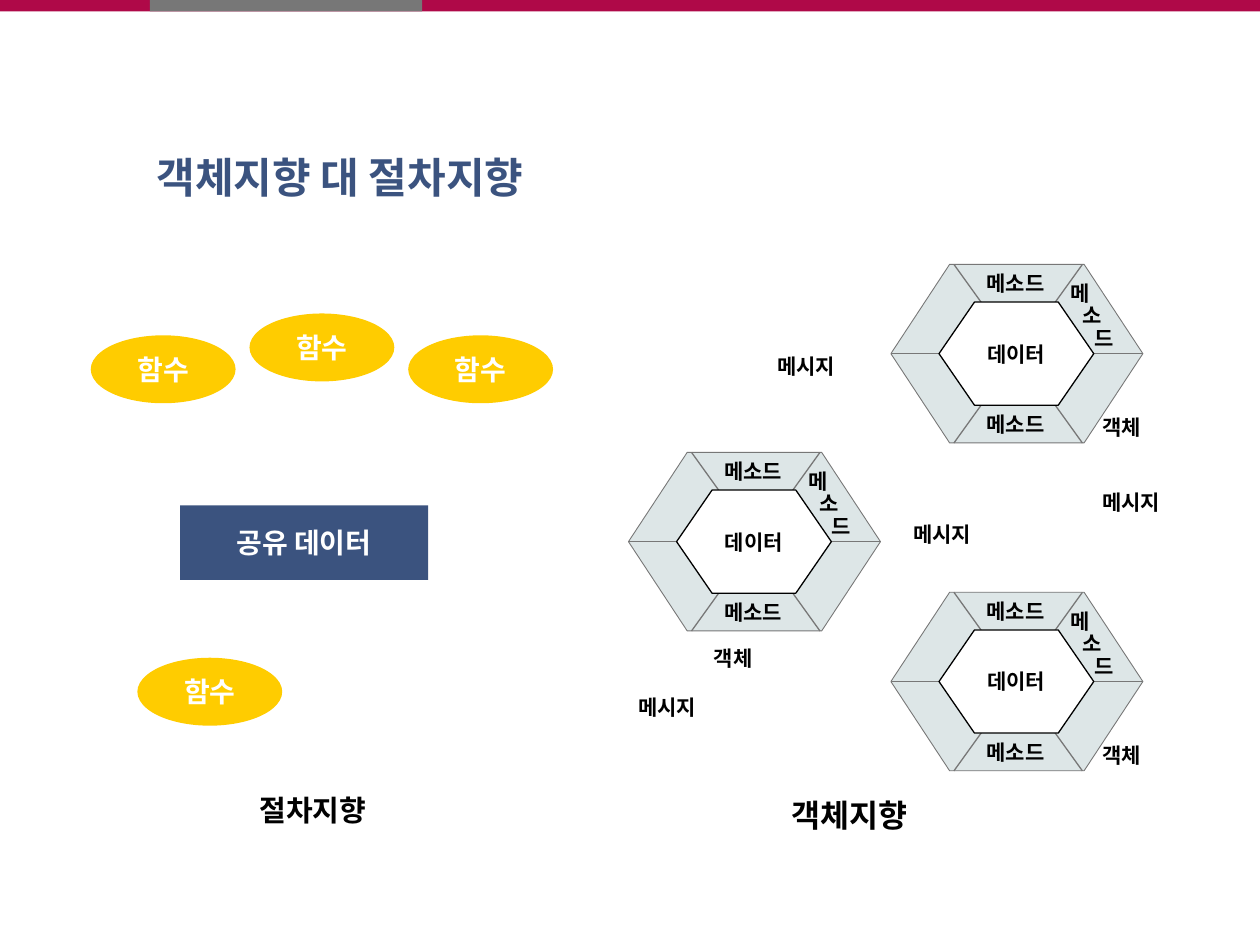
"""Build a slide comparing object-oriented and procedural programming."""
from lxml.etree import SubElement
from pptx import Presentation
from pptx.dml.color import RGBColor
from pptx.enum.shapes import MSO_CONNECTOR as Connector, MSO_SHAPE as Shape
from pptx.enum.text import MSO_ANCHOR as Anchor, PP_ALIGN as Align
from pptx.oxml.ns import qn
from pptx.util import Cm, Pt

FONT = "Noto Sans CJK KR"
CRIMSON = RGBColor(0xAF, 0x09, 0x48)
GRAY = RGBColor(0x77, 0x77, 0x77)
NAVY = RGBColor(0x3B, 0x53, 0x7F)
YELLOW = RGBColor(0xFF, 0xCC, 0x00)
PALE = RGBColor(0xDD, 0xE6, 0xE7)
WHITE = RGBColor(0xFF, 0xFF, 0xFF)
BLACK = RGBColor(0, 0, 0)


def write(box, text, size, color=BLACK, font=FONT, align=Align.LEFT, spacing=1.0):
    frame = box.text_frame
    frame.text = text
    for para in frame.paragraphs:
        para.alignment = align
        para.line_spacing = spacing
        for span in para.runs:
            span.font.size = Pt(size)
            span.font.bold = True
            span.font.name = font
            span.font.color.rgb = color
            SubElement(span.font._element, qn("a:ea")).set("typeface", FONT)


def draw(kind, left, top, width, height, fill, line=None, weight=0.75):
    shape = page.shapes.add_shape(kind, Cm(left), Cm(top), Cm(width), Cm(height))
    shape.shadow.inherit = False
    shape.fill.solid()
    shape.fill.fore_color.rgb = fill
    if line is None:
        shape.line.fill.background()
    else:
        shape.line.color.rgb = line
        shape.line.width = Pt(weight)
    shape.text_frame.word_wrap = False
    shape.text_frame.vertical_anchor = Anchor.MIDDLE
    return shape


deck = Presentation()
deck.slide_width, deck.slide_height = Cm(25.4), Cm(19.05)
page = deck.slides.add_slide(deck.slide_layouts[5])

draw(Shape.RECTANGLE, 0, 0, 25.4, 0.23, CRIMSON)
draw(Shape.RECTANGLE, 3.02, 0, 5.49, 0.23, GRAY)

title = page.shapes.title
title.left, title.top, title.width, title.height = Cm(2.9), Cm(2.92), Cm(8.79), Cm(1.27)
title.text_frame.vertical_anchor = Anchor.MIDDLE
write(title, "객체지향 대 절차지향", 24, NAVY)

for left, top in [(2.77, 13.26), (1.83, 6.76), (5.03, 6.32), (8.23, 6.76)]:
    function = draw(Shape.OVAL, left, top, 2.92, 1.37, YELLOW)
    write(function, "함수", 16, WHITE, align=Align.CENTER)
shared_data = draw(Shape.RECTANGLE, 3.63, 10.19, 5, 1.5, NAVY)
write(shared_data, "공유 데이터", 16, WHITE, align=Align.CENTER)

labels = [
    ("절차지향", 4.98, 15.93, 3.05, 1.02, 16.6, FONT),
    ("객체지향", 15.7, 15.93, 3.05, 1.02, 18, "Times New Roman"),
]
for left, top in [(12.62, 13.87), (21.97, 9.75), (18.16, 10.39), (15.42, 7.01)]:
    labels.append(("메시지", left, top, 1.78, 0.76, 12, FONT))

objects = [(17.96, 5.33, 4.01, 2.9), (12.67, 9.12, 1.47, 3.76), (17.96, 11.94, 4.01, 2.9)]
for left, top, label_x, label_y in objects:
    outer = draw(Shape.HEXAGON, left, top, 5.08, 3.6, PALE, GRAY, 0.5)
    outer.adjustments[0] = 0.329
    dividers = [(1.27, 0, 3.86, 3.6), (1.27, 3.6, 3.86, 0), (5.08, 1.8, 0, 1.8)]
    for x1, y1, x2, y2 in dividers:
        divider = page.shapes.add_connector(
            Connector.STRAIGHT, Cm(left + x1), Cm(top + y1), Cm(left + x2), Cm(top + y2))
        divider.line.color.rgb = GRAY
        divider.line.width = Pt(0.75)
        SubElement(divider._element.spPr, qn("a:effectLst"))
    core = draw(Shape.HEXAGON, left + 0.97, top + 0.76, 3.12, 2.08, WHITE, BLACK)
    core.adjustments[0] = 0.344
    write(core, "데이터", 12, align=Align.CENTER)

    stair = page.shapes.add_textbox(Cm(left + 3.37), Cm(top + 0.25), Cm(1.5), Cm(1.63))
    stair.text_frame.word_wrap = True
    write(stair, "메\n소\n드", 12, spacing=0.9)
    for step, para in enumerate(stair.text_frame.paragraphs):
        para._p.get_or_add_pPr().set("marL", str(Cm(0.24 * step)))

    for offset in (0, 2.84):
        labels.append(("메소드", left + 1.68, top + offset, 1.78, 0.76, 12, FONT))
    labels.append(("객체", left + label_x, top + label_y, 1.35, 0.76, 12, FONT))

for text, left, top, width, height, size, font in labels:
    label = page.shapes.add_textbox(Cm(left), Cm(top), Cm(width), Cm(height))
    label.text_frame.word_wrap = False
    write(label, text, size, font=font, spacing=0.9 if text == "절차지향" else 1.0)

deck.save("out.pptx")
